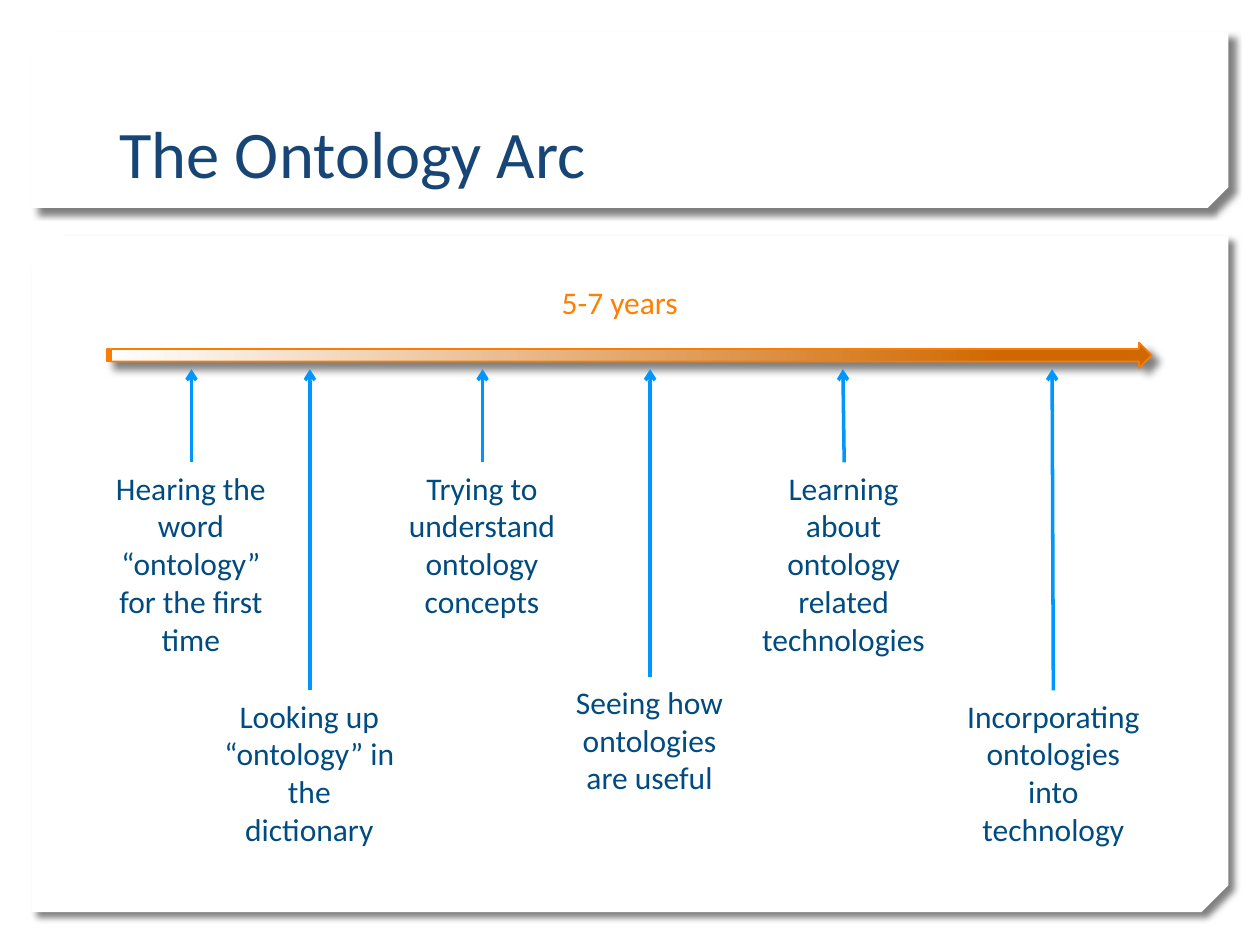
from dataclasses import dataclass

from lxml import etree
from pptx import Presentation
from pptx import util as u
from pptx.dml.color import RGBColor
from pptx.enum import shapes, text
from pptx.oxml.ns import qn

SCALE = 9144  # EMU in one px, at 100 px to the inch


@dataclass(frozen=True)
class Theme:
    font: str = "Calibri"
    paper: str = "FFFFFF"
    title: str = "174576"
    body: str = "004B80"
    span: str = "FF7F01"
    arrow: str = "0096FF"
    edge: str = "FA7C00"
    deep: str = "D06801"
    shade: str = "000000"
    big: int = 38
    small: int = 18


@dataclass(frozen=True)
class Box:
    left: int
    top: int
    width: int
    height: int

    def emu(self) -> list[int]:
        return [px(n) for n in (self.left, self.top, self.width, self.height)]


@dataclass(frozen=True)
class Panel:
    box: Box
    snip: float


@dataclass(frozen=True)
class Step:
    label: str
    box: Box
    lean: int = 0  # sideways shift of the arrow tip


THEME = Theme()
TIP = 293  # height at which every step arrow ends

PANELS = [
    Panel(Box(25, 187, 950, 537), 0.04),
    Panel(Box(25, 25, 950, 140), 0.117),
]
STEPS = [
    Step("Hearing the word “ontology” for the first time", Box(74, 367, 155, 162)),
    Step("Looking up “ontology” in the dictionary", Box(168, 548, 155, 131)),
    Step("Trying to understand ontology concepts", Box(305, 367, 155, 131)),
    Step("Seeing how ontologies are useful", Box(438, 537, 155, 101)),
    Step("Learning about ontology related technologies", Box(592, 367, 155, 162), -1),
    Step("Incorporating ontologies into technology", Box(752, 548, 168, 131), -1),
]


def px(count: int) -> int:
    return u.Emu(count * SCALE)


def rgb(code: str) -> RGBColor:
    return RGBColor.from_string(code)


def shade(shape) -> None:
    """Cast a soft shadow down and to the right."""
    shape.shadow.inherit = False
    glow = etree.SubElement(
        shape.element.spPr.find(qn("a:effectLst")), qn("a:outerShdw"),
        blurRad=str(u.Pt(4)), dist=str(u.Pt(5)), dir=str(45 * 60000),
        algn="tl", rotWithShape="0")
    tone = etree.SubElement(glow, qn("a:srgbClr"), val=THEME.shade)
    etree.SubElement(tone, qn("a:alpha"), val="50000")


def draw_panel(slide, panel: Panel) -> None:
    shape = slide.shapes.add_shape(
        shapes.MSO_SHAPE.SNIP_2_DIAG_RECTANGLE, *panel.box.emu())
    shape.adjustments[0] = 0
    shape.adjustments[1] = panel.snip
    shape.element.spPr.find(qn("a:xfrm")).set("flipV", "1")
    shape.fill.solid()
    shape.fill.fore_color.rgb = rgb(THEME.paper)
    shape.line.fill.background()
    shade(shape)


def draw_span(slide, box: Box) -> None:
    """Draw the long striped time arrow."""
    shape = slide.shapes.add_shape(
        shapes.MSO_SHAPE.STRIPED_RIGHT_ARROW, *box.emu())
    shape.fill.gradient()
    shape.fill.gradient_angle = 0
    stops = ((0, THEME.paper), (0.86, THEME.deep))
    for stop, (place, code) in zip(shape.fill.gradient_stops, stops):
        stop.position = place
        stop.color.rgb = rgb(code)
    shape.line.color.rgb = rgb(THEME.edge)
    shape.line.width = u.Pt(1)
    shade(shape)


def draw_text(slide, label: str, box: Box, size: int, code: str,
              align=text.PP_ALIGN.LEFT, anchor=text.MSO_ANCHOR.TOP,
              wrap: bool = True) -> None:
    frame = slide.shapes.add_textbox(*box.emu()).text_frame
    frame.word_wrap = wrap
    frame.vertical_anchor = anchor
    frame.text = label
    line = frame.paragraphs[0]
    line.alignment = align
    font = line.runs[0].font
    font.name = THEME.font
    font.size = u.Pt(size)
    font.color.rgb = rgb(code)


def draw_step(slide, step: Step) -> None:
    box = step.box
    mid = box.left + (box.width + 1) // 2
    ends = (mid, box.top, mid + step.lean, TIP)
    arrow = slide.shapes.add_connector(
        shapes.MSO_CONNECTOR.STRAIGHT, *map(px, ends))
    arrow.line.color.rgb = rgb(THEME.arrow)
    arrow.line.width = u.Pt(2)
    etree.SubElement(arrow.line._get_or_add_ln(), qn("a:tailEnd"), type="arrow")
    etree.SubElement(arrow.element.spPr, qn("a:effectLst"))
    draw_text(slide, step.label, box, THEME.small, THEME.body,
              align=text.PP_ALIGN.CENTER)


def main() -> None:
    deck = Presentation()
    deck.slide_width, deck.slide_height = px(1000), px(750)
    slide = deck.slides.add_slide(deck.slide_layouts[6])
    for panel in PANELS:
        draw_panel(slide, panel)
    draw_text(slide, "The Ontology Arc", Box(85, 32, 829, 125), THEME.big,
              THEME.title, anchor=text.MSO_ANCHOR.BOTTOM)
    draw_span(slide, Box(85, 272, 829, 20))
    for step in STEPS:
        draw_step(slide, step)
    draw_text(slide, "5-7 years", Box(436, 220, 112, 40), THEME.small,
              THEME.span, wrap=False)
    deck.save("out.pptx")


if __name__ == "__main__":
    main()
